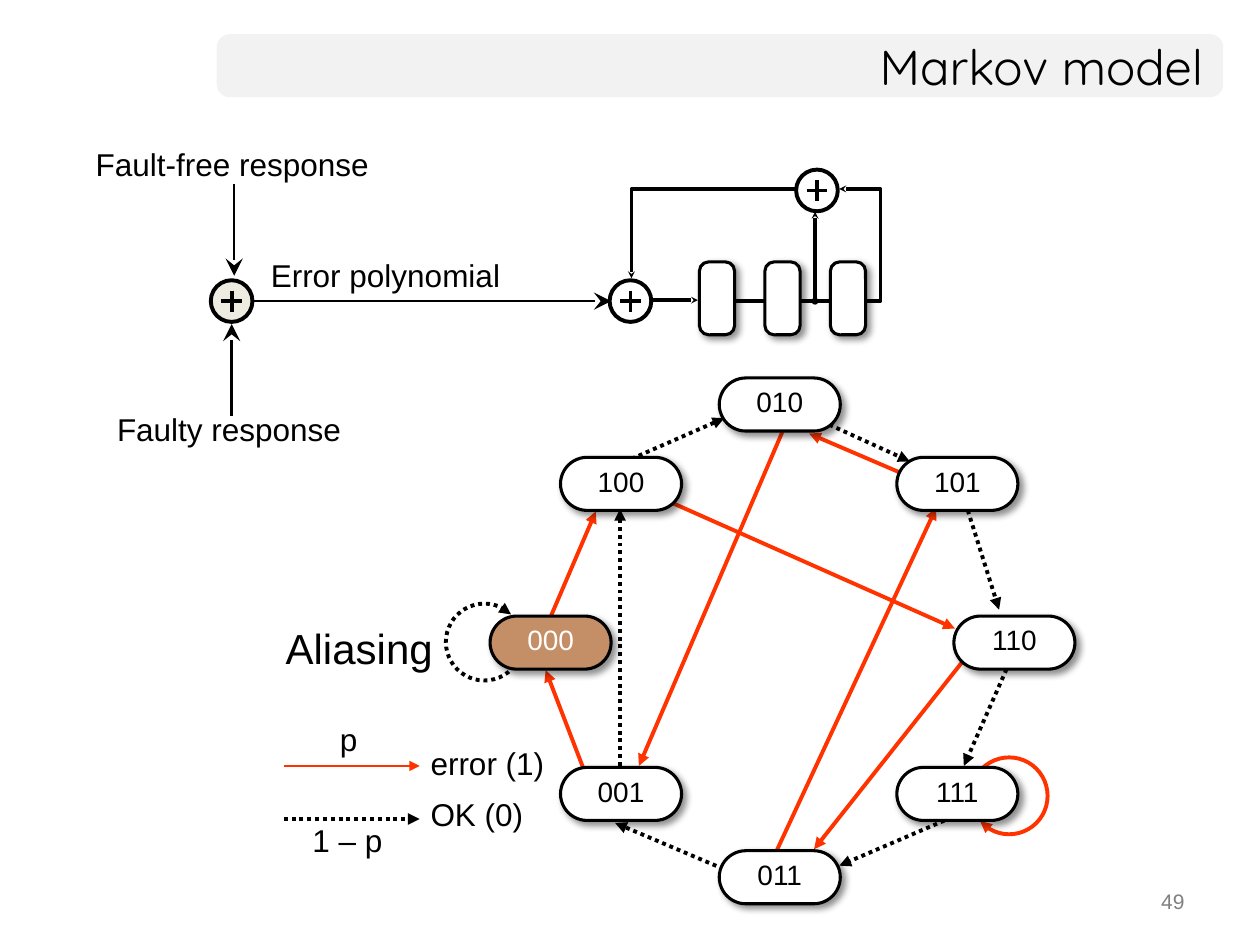
from dataclasses import dataclass

from lxml import etree
from pptx import Presentation
from pptx import util as u
from pptx.dml.color import RGBColor
from pptx.enum import dml, shapes, text
from pptx.oxml.ns import qn


@dataclass(frozen=True)
class Theme:
    ink: str = "000000"
    paper: str = "FFFFFF"
    error: str = "FF3300"
    alias: str = "C48E66"
    source: str = "EEECE1"
    bar: str = "F2F2F2"
    muted: str = "808080"
    body_font: str = "Arial"
    title_font: str = "Quicksand"
    title: int = 28
    large: int = 24
    label: int = 18
    state: int = 16
    number: int = 12
    thin: float = 1.5
    box: float = 1.75
    wire: float = 2
    edge: float = 2.25


class Diagram:
    """Draws on one slide; all lengths are in centimetres."""

    def __init__(self, slide, theme):
        self.s, self.t = slide, theme

    def add_text(self, tf, words, size, color=None, font=None, align=text.PP_ALIGN.LEFT):
        p = tf.paragraphs[0]
        p.alignment = align
        r = p.add_run()
        r.text = words
        r.font.name = font or self.t.body_font
        r.font.size = u.Pt(size)
        r.font.color.rgb = RGBColor.from_string(color or self.t.ink)

    def stroke(self, sp, width, color=None, dotted=False, tail=None, head=None, size="med"):
        sp.line.color.rgb = RGBColor.from_string(color or self.t.ink)
        sp.line.width = u.Pt(width)
        if dotted:
            sp.line.dash_style = dml.MSO_LINE.ROUND_DOT
        ln = sp.line._get_or_add_ln()
        for tag, kind in (("a:headEnd", head), ("a:tailEnd", tail)):
            if kind:
                etree.SubElement(ln, qn(tag), type=kind, w=size, len=size)

    def title(self, words, x, y, w, h):
        sp = self.s.shapes.title
        sp.left, sp.top, sp.width, sp.height = map(u.Cm, (x, y, w, h))
        sp.text_frame.vertical_anchor = text.MSO_ANCHOR.MIDDLE
        self.add_text(sp.text_frame, words, self.t.title, font=self.t.title_font,
                      align=text.PP_ALIGN.RIGHT)

    def label(self, words, x, y, w, h=1.02, size=None, anchor=text.MSO_ANCHOR.MIDDLE, **style):
        sp = self.s.shapes.add_textbox(*map(u.Cm, (x, y, w, h)))
        tf = sp.text_frame
        tf.word_wrap = False
        tf.vertical_anchor = anchor
        self.add_text(tf, words, size or self.t.label, **style)

    def shape(self, kind, x, y, w, h, fill=None, adjust=(), parent=None):
        sp = (parent or self.s).shapes.add_shape(kind, *map(u.Cm, (x, y, w, h)))
        sp.shadow.inherit = False
        for i, value in enumerate(adjust):
            sp.adjustments[i] = value
        if fill:
            sp.fill.solid()
            sp.fill.fore_color.rgb = RGBColor.from_string(fill)
        else:
            sp.fill.background()
        sp.line.fill.background()
        return sp

    def raised_box(self, x, y, w, h, corner, fill=None):
        sp = self.shape(shapes.MSO_SHAPE.ROUNDED_RECTANGLE, x, y, w, h,
                        fill or self.t.paper, [corner])
        self.stroke(sp, self.t.box)
        effects = sp._element.spPr.find(qn("a:effectLst"))
        shadow = etree.SubElement(effects, qn("a:outerShdw"), blurRad="50800",
                                  dist="38100", dir="2700000", algn="tl", rotWithShape="0")
        color = etree.SubElement(shadow, qn("a:srgbClr"), val=self.t.ink)
        etree.SubElement(color, qn("a:alpha"), val="43000")
        return sp

    def state(self, name, x, y, fill=None, color=None):
        sp = self.raised_box(x, y, 2.44, 1.07, 0.5, fill)
        tf = sp.text_frame
        tf.margin_top, tf.margin_bottom = u.Cm(0.13), u.Cm(0.25)
        tf.vertical_anchor = text.MSO_ANCHOR.MIDDLE
        self.add_text(tf, name, self.t.state, color, align=text.PP_ALIGN.CENTER)

    def line(self, x1, y1, x2, y2, width, parent=None, **style):
        cn = (parent or self.s).shapes.add_connector(
            shapes.MSO_CONNECTOR.STRAIGHT, *map(u.Cm, (x1, y1, x2, y2)))
        self.stroke(cn, width, **style)
        etree.SubElement(cn._element.spPr, qn("a:effectLst"))

    def wire(self, *points):
        start, *rest = [(u.Cm(x), u.Cm(y)) for x, y in points]
        fb = self.s.shapes.build_freeform(*start)
        fb.add_line_segments(rest, close=False)
        sp = fb.convert_to_shape()
        sp.shadow.inherit = False
        sp.fill.background()
        self.stroke(sp, self.t.wire, tail="stealth", size="sm")

    def loop(self, x, y, start, end, **style):
        # Arc adjustments are 1/60000 degree, scaled by 100000
        sp = self.shape(shapes.MSO_SHAPE.ARC, x, y, 1.55, 1.55,
                        adjust=[start * 0.6, end * 0.6])
        self.stroke(sp, self.t.edge, tail="triangle", **style)

    def adder(self, cx, cy, fill=None, radius=0.42, arm=0.21):
        grp = self.s.shapes.add_group_shape()
        sp = self.shape(shapes.MSO_SHAPE.OVAL, cx - radius, cy - radius, 2 * radius,
                        2 * radius, fill or self.t.paper, parent=grp)
        self.stroke(sp, self.t.edge)
        self.line(cx, cy - arm, cx, cy + arm, self.t.edge, parent=grp)
        self.line(cx - arm, cy, cx + arm, cy, self.t.edge, parent=grp)


def main():
    prs = Presentation()
    prs.slide_width, prs.slide_height = u.Cm(25.4), u.Cm(19.05)
    s = prs.slides.add_slide(prs.slide_layouts[5])
    t = Theme()
    d = Diagram(s, t)

    # Title on its bar, and slide number
    bar = d.shape(shapes.MSO_SHAPE.ROUNDED_RECTANGLE, 4.37, 0.69, 20.29, 1.27, t.bar, [0.208])
    s.shapes._spTree.insert(2, bar._element)
    d.title("Markov model", 4.37, 0.69, 20.14, 1.27)
    d.label("49", 18.21, 17.78, 5.92, 0.89, t.number, text.MSO_ANCHOR.TOP,
            color=t.muted, align=text.PP_ALIGN.RIGHT)

    # State transitions
    error = dict(color=t.error)
    ok = dict(dotted=True)
    d.loop(19.57, 15.27, 200, 139, **error)
    d.loop(8.99, 12.17, 27, 314, **ok)
    error_edges = [
        (18.62, 9.73, 16.31, 8.74), (15.77, 8.71, 12.88, 15.44),
        (15.6, 17.27, 18.87, 10.24), (19.71, 12.95, 16.41, 17.12),
        (12.34, 9.6, 19.25, 12.67), (11.05, 12.55, 12.01, 10.31),
        (11.76, 15.49, 11, 13.51)]
    ok_edges = [
        (12.5, 15.44, 12.5, 10.26), (12.73, 9.25, 14.6, 8.43),
        (16.43, 8.43, 18.34, 9.3), (19.51, 10.29, 20.14, 12.29),
        (20.29, 13.49, 19.43, 15.44), (19.18, 16.48, 16.92, 17.45),
        (14.73, 17.58, 12.4, 16.59)]
    for edges, style in ((error_edges, error), (ok_edges, ok)):
        for edge in edges:
            d.line(*edge, t.edge, tail="triangle", **style)

    # Legend
    d.label("Aliasing", 5.51, 12.42, 3.48, 1.27, t.large)
    d.line(5.72, 15.44, 8.46, 15.44, t.thin, tail="triangle", **error)
    d.line(5.72, 16.51, 8.46, 16.51, t.edge, tail="triangle", **ok)
    d.label("error (1)", 8.43, 14.88, 2.82)
    d.label("OK (0)", 8.43, 15.9, 2.41)
    d.label("p", 6.6, 14.38, 0.86)
    d.label("1 – p", 6.05, 16.43, 1.93)

    # Responses compared into the error polynomial
    d.label("Fault-free response", 1.68, 2.79, 6.07)
    d.label("Faulty response", 2.11, 8.13, 5.08)
    d.label("Error polynomial", 5.21, 5.03, 5.18)
    for signal in ((4.93, 6.07, 12.32, 6.07), (4.72, 3.71, 4.72, 5.56),
                   (4.67, 8.38, 4.67, 6.53)):
        d.line(*signal, t.thin, tail="stealth", size="lg")
    d.adder(4.67, 6.07, t.source)

    # Shift register with feedback
    d.wire((14.4, 6.07), (17.75, 6.07), (17.75, 3.81), (16.92, 3.81))
    d.wire((16.43, 3.81), (12.73, 3.81), (12.73, 5.61))
    d.line(16.43, 6.07, 16.43, 4.27, t.wire, head="oval", tail="stealth", size="sm")
    d.line(13.03, 6.05, 14.07, 6.05, t.wire, tail="stealth", size="sm")
    d.adder(16.47, 3.84)
    d.adder(12.71, 6.07)
    for i in range(3):
        d.raised_box(14.1 + 1.32 * i, 5.28, 0.71, 1.47, 0.262)

    # States
    for name, x, y in (("010", 14.5, 7.62), ("101", 18.08, 9.22), ("110", 19.23, 12.42),
                       ("111", 18.08, 15.47), ("011", 14.5, 17.15), ("001", 11.3, 15.47),
                       ("100", 11.3, 9.22)):
        d.state(name, x, y)
    d.state("000", 9.88, 12.42, t.alias, t.paper)

    prs.save("out.pptx")


if __name__ == "__main__":
    main()
